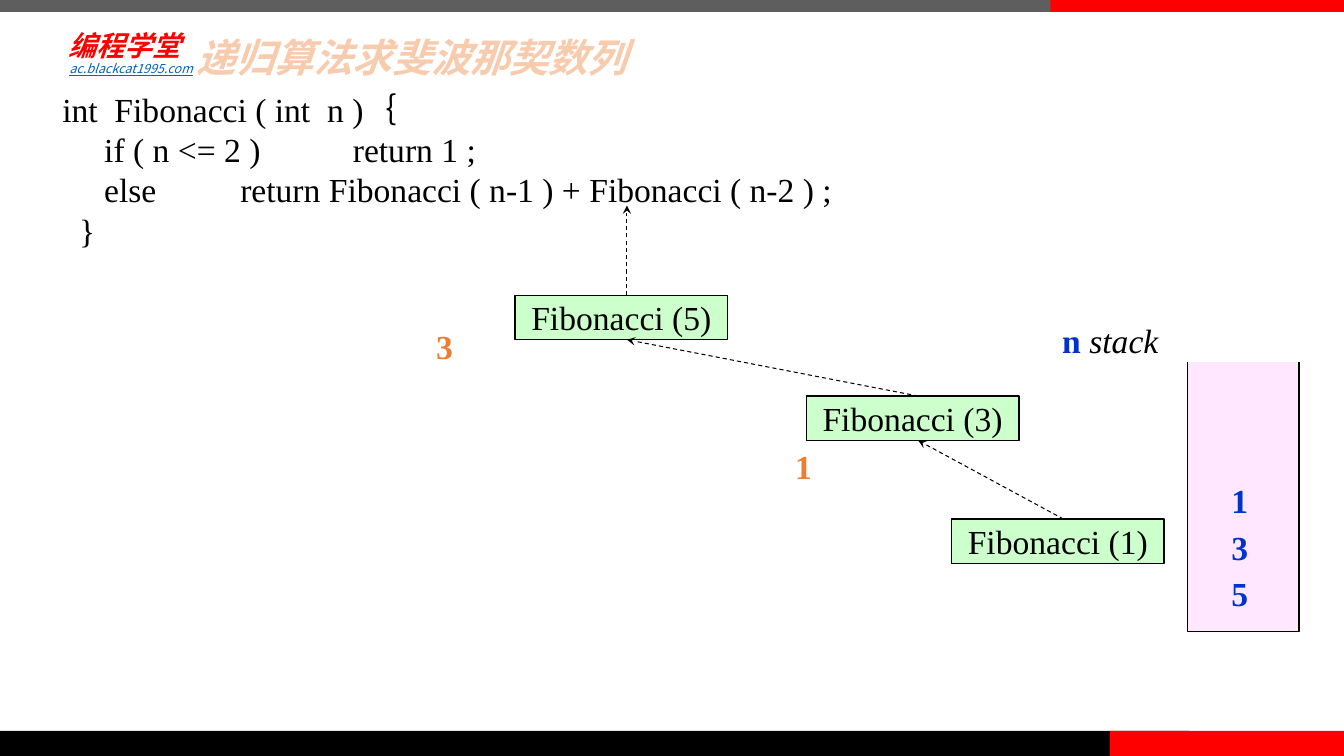
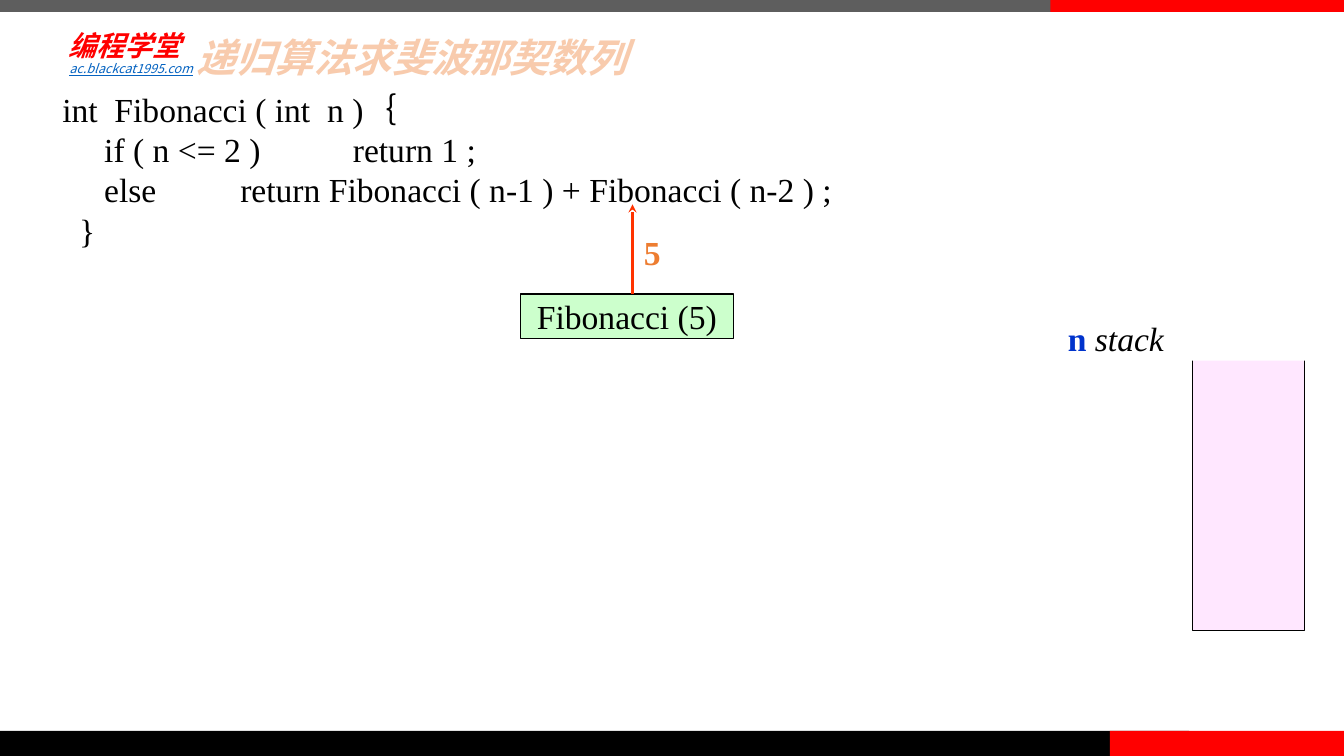
from dataclasses import dataclass
from typing import Any, NamedTuple

import lxml.etree
import pptx
import pptx.dml.color
import pptx.enum.dml
import pptx.enum.shapes
import pptx.enum.text
import pptx.oxml.ns
import pptx.util

Cm = pptx.util.Cm
Pt = pptx.util.Pt
qn = pptx.oxml.ns.qn


@dataclass(frozen=True)
class Theme:
    gray: str = "5E5E5E"
    black: str = "000000"
    white: str = "FFFFFF"
    red: str = "FF0000"
    arrow_red: str = "FF3300"
    title: str = "F8CBAD"
    orange: str = "ED7D31"
    blue: str = "0033CC"
    link: str = "0563C1"
    call_fill: str = "CCFFCC"
    stack_fill: str = "FFE7FF"
    serif: str = "Times New Roman"
    sans: str = "Calibri"
    chinese: str = "Noto Sans CJK SC"
    title_size: float = 28
    body_size: float = 24
    brand_size: float = 20
    link_size: float = 9


class Box(NamedTuple):
    """Left, top, width and height in centimetres."""

    left: float
    top: float
    width: float
    height: float

    def lengths(self) -> list[int]:
        return [Cm(value) for value in self]


class Band(NamedTuple):
    box: Box
    color: str


class Call(NamedTuple):
    argument: int
    left: float
    top: float


class Number(NamedTuple):
    text: str
    left: float
    top: float
    color: str


@dataclass(frozen=True)
class Step:
    """One state of the recursion; each call returns to the one before it."""

    calls: list[Call]
    numbers: list[Number]
    shift_x: float = 0
    shift_y: float = 0
    finished: bool = False


THEME = Theme()
BANDS = [
    Band(Box(0, 0, 27.46, 0.3), THEME.gray),
    Band(Box(0, 18.42, 29.97, 0.63), THEME.black),
    Band(Box(27.97, 18.42, 5.9, 0.63), THEME.red),
    Band(Box(26.47, 0, 7.4, 0.3), THEME.red),
]
CODE = [
    "int  Fibonacci ( int  n )｛",
    "     if ( n <= 2 )           return 1 ;",
    "     else          return Fibonacci ( n-1 ) + Fibonacci ( n-2 ) ;",
    "  }",
]
CALL_WIDTH, CALL_HEIGHT = 5.36, 1.12
ARROW_INSET = 2.82
RETURN_HEIGHT = 2.26
STACK_LEFT = 30.78
STEPS = [
    Step(
        calls=[Call(5, 12.98, 7.44), Call(3, 20.32, 9.98), Call(1, 23.98, 13.08)],
        numbers=[
            Number("5", STACK_LEFT, 14.58, THEME.blue),
            Number("3", STACK_LEFT, 13.44, THEME.blue),
            Number("1", STACK_LEFT, 12.24, THEME.blue),
            Number("3", 10.74, 8.36, THEME.orange),
            Number("1", 19.79, 11.4, THEME.orange),
        ],
    ),
    Step(
        calls=[Call(5, 12.98, 7.44)],
        numbers=[Number("5", 15.84, 6.02, THEME.orange)],
        shift_x=0.14,
        shift_y=-0.03,
        finished=True,
    ),
]


def rgb(color: str) -> pptx.dml.color.RGBColor:
    return pptx.dml.color.RGBColor.from_string(color)


def add_text(
    paragraph: Any,
    text: str,
    *,
    size: float = THEME.body_size,
    color: str = THEME.black,
    font: str = THEME.serif,
    bold: bool = False,
    italic: bool = False,
    underline: bool = False,
) -> Any:
    run = paragraph.add_run()
    run.text = text
    run.font.size = Pt(size)
    run.font.name = font
    run.font.bold = bold
    run.font.italic = italic
    run.font.underline = underline
    run.font.color.rgb = rgb(color)
    east_asian = lxml.etree.Element(qn("a:ea"), typeface=THEME.chinese)
    run._r.rPr.find(qn("a:latin")).addnext(east_asian)
    return run


def outline_text(run: Any, color: str, width: float) -> None:
    line = lxml.etree.Element(qn("a:ln"), w=str(Pt(width)))
    fill = lxml.etree.SubElement(line, qn("a:solidFill"))
    lxml.etree.SubElement(fill, qn("a:srgbClr"), val=color)
    run._r.rPr.insert(0, line)


def add_text_box(slide: Any, box: Box, wrap: bool = False) -> Any:
    frame = slide.shapes.add_textbox(*box.lengths()).text_frame
    frame.word_wrap = wrap
    return frame


def add_rectangle(slide: Any, box: Box, color: str, outlined: bool = False) -> Any:
    shape = slide.shapes.add_shape(
        pptx.enum.shapes.MSO_SHAPE.RECTANGLE, *box.lengths()
    )
    shape.shadow.inherit = False
    shape.fill.solid()
    shape.fill.fore_color.rgb = rgb(color)
    if outlined:
        shape.line.color.rgb = rgb(THEME.black)
        shape.line.width = Pt(1)
    else:
        shape.line.fill.background()
    shape.text_frame.word_wrap = False
    shape.text_frame.vertical_anchor = pptx.enum.text.MSO_ANCHOR.MIDDLE
    return shape


def add_arrow(
    slide: Any,
    start: tuple[float, float],
    end: tuple[float, float],
    finished: bool,
) -> None:
    """Draw a dashed arrow for a pending return, a solid red one when finished."""
    connector = slide.shapes.add_connector(
        pptx.enum.shapes.MSO_CONNECTOR.STRAIGHT,
        *(Cm(value) for value in (*start, *end)),
    )
    connector.line.color.rgb = rgb(THEME.arrow_red if finished else THEME.black)
    connector.line.width = Pt(1.5 if finished else 0.75)
    if not finished:
        connector.line.dash_style = pptx.enum.dml.MSO_LINE.DASH
    lxml.etree.SubElement(
        connector.get_or_add_ln(), qn("a:tailEnd"), type="stealth"
    )
    lxml.etree.SubElement(connector.element.spPr, qn("a:effectLst"))


def draw_title(slide: Any, text: str) -> None:
    title = slide.shapes.title
    title.left, title.top, title.width, title.height = Box(
        4.62, 0.89, 28.24, 1.37
    ).lengths()
    frame = title.text_frame
    frame.auto_size = pptx.enum.text.MSO_AUTO_SIZE.NONE
    frame.word_wrap = True
    frame.vertical_anchor = pptx.enum.text.MSO_ANCHOR.TOP
    frame.margin_left = frame.margin_right = Cm(0.33)
    frame.margin_top = frame.margin_bottom = Cm(0.18)
    paragraph = frame.paragraphs[0]
    paragraph.alignment = pptx.enum.text.PP_ALIGN.LEFT
    paragraph.line_spacing = 0.8
    paragraph.space_before = Pt(0)
    run = add_text(
        paragraph,
        text,
        size=THEME.title_size,
        color=THEME.title,
        font=THEME.chinese,
        bold=True,
        italic=True,
    )
    outline_text(run, THEME.orange, 1.75)


def draw_frame(slide: Any) -> None:
    """Draw the bands, the school name, its address and the title."""
    for band in BANDS:
        add_rectangle(slide, band.box, band.color)
    school = add_text_box(slide, Box(1.57, 0.56, 3.25, 1.14), wrap=True)
    school.vertical_anchor = pptx.enum.text.MSO_ANCHOR.MIDDLE
    school.margin_left = school.margin_right = Cm(0.15)
    school.margin_top = school.margin_bottom = Cm(0.15)
    add_text(
        school.paragraphs[0],
        "编程学堂",
        size=THEME.brand_size,
        color=THEME.red,
        font=THEME.sans,
        bold=True,
        italic=True,
    )
    address = add_text_box(slide, Box(1.5, 1.42, 14.43, 0.63), wrap=True)
    add_text(
        address.paragraphs[0],
        "ac.blackcat1995.com",
        size=THEME.link_size,
        color=THEME.link,
        font=THEME.chinese,
        italic=True,
        underline=True,
    )
    draw_title(slide, "递归算法求斐波那契数列")


def draw_code(slide: Any) -> None:
    frame = add_text_box(slide, Box(1.32, 2.11, 20.09, 4.37))
    for index, code_line in enumerate(CODE):
        paragraph = frame.add_paragraph() if index else frame.paragraphs[0]
        paragraph.line_spacing = Pt(28.8)
        add_text(paragraph, code_line)


def draw_stack(slide: Any, step: Step) -> None:
    """Draw the stack; its label covers the upper edge and leaves it open."""
    x, y = step.shift_x, step.shift_y
    add_rectangle(
        slide, Box(29.92 + x, 8.86 + y, 2.82, 7.06), THEME.stack_fill, outlined=True
    )
    label = add_rectangle(slide, Box(26.52 + x, 8 + y, 6.78, 1.12), THEME.white)
    paragraph = label.text_frame.paragraphs[0]
    paragraph.alignment = pptx.enum.text.PP_ALIGN.LEFT
    add_text(paragraph, "n ", color=THEME.blue, bold=True)
    add_text(paragraph, "stack", italic=True)


def draw_calls(slide: Any, step: Step) -> None:
    target = None
    for call in step.calls:
        left, top = call.left + step.shift_x, call.top + step.shift_y
        box = Box(left, top, CALL_WIDTH, CALL_HEIGHT)
        shape = add_rectangle(slide, box, THEME.call_fill, outlined=True)
        paragraph = shape.text_frame.paragraphs[0]
        paragraph.alignment = pptx.enum.text.PP_ALIGN.CENTER
        add_text(paragraph, f"Fibonacci ({call.argument})")
        arrow_x = left + ARROW_INSET
        end = target or (arrow_x, top - RETURN_HEIGHT)
        add_arrow(slide, (arrow_x, top), end, step.finished)
        target = (arrow_x, top + CALL_HEIGHT)


def draw_numbers(slide: Any, step: Step) -> None:
    for number in step.numbers:
        box = Box(number.left + step.shift_x, number.top + step.shift_y, 0.94, 0.99)
        paragraph = add_text_box(slide, box).paragraphs[0]
        paragraph.line_spacing = 0.7
        add_text(paragraph, number.text, color=number.color, bold=True)


def main() -> None:
    presentation = pptx.Presentation()
    presentation.slide_width, presentation.slide_height = Cm(33.87), Cm(19.05)
    for step in STEPS:
        slide = presentation.slides.add_slide(presentation.slide_layouts[5])
        draw_frame(slide)
        draw_calls(slide, step)
        draw_stack(slide, step)
        draw_numbers(slide, step)
        draw_code(slide)
    presentation.save("out.pptx")


if __name__ == "__main__":
    main()
